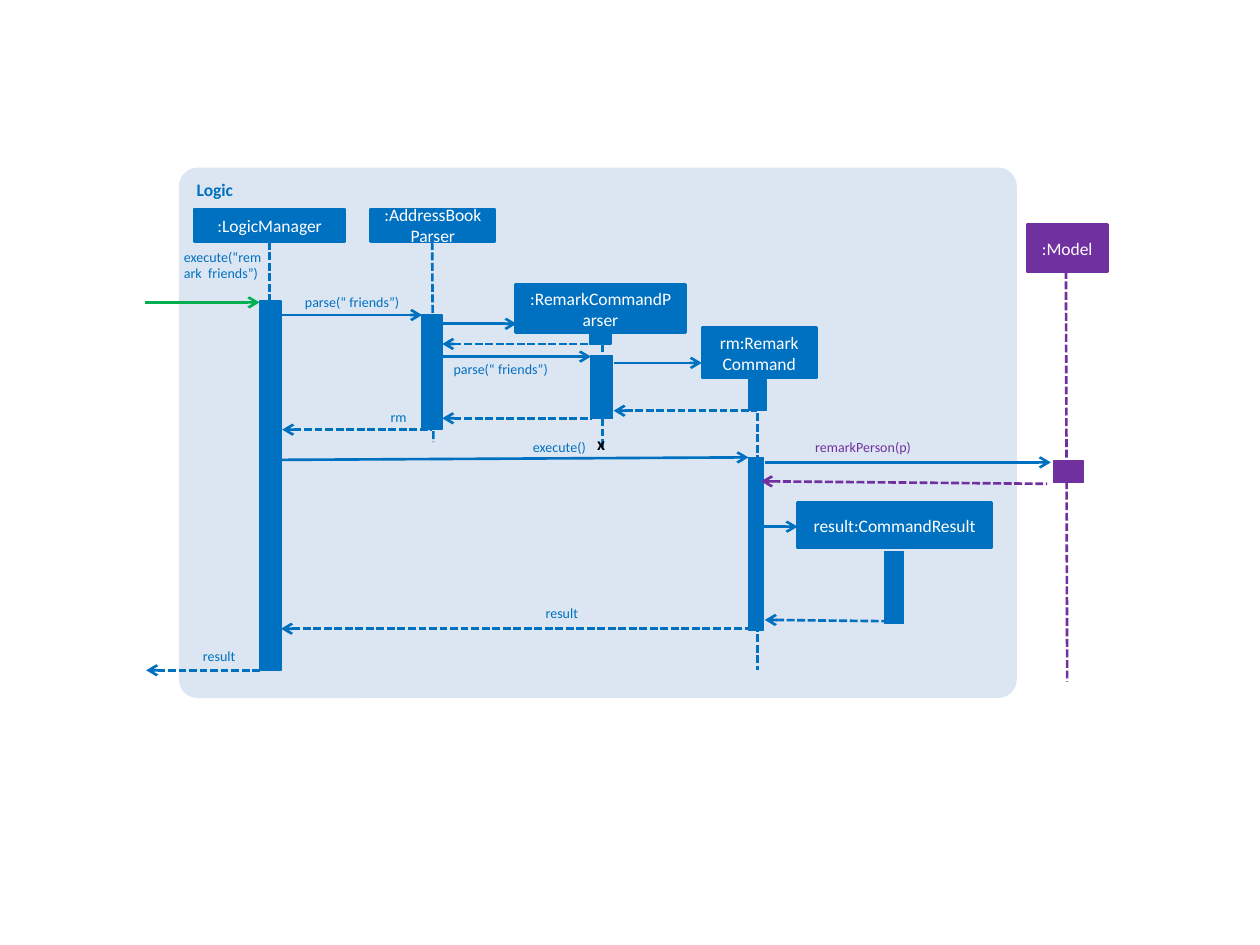
import pptx
import pptx.util
import pptx.dml.color
import pptx.enum.dml
import pptx.enum.shapes
import pptx.enum.text
import pptx.oxml.ns
import lxml.etree

Inches = pptx.util.Inches
Pt = pptx.util.Pt
SHAPE = pptx.enum.shapes.MSO_SHAPE
ANCHOR = pptx.enum.text.MSO_ANCHOR
ALIGN = pptx.enum.text.PP_ALIGN

BLUE, PURPLE, GREEN = "0070C0", "7030A0", "00B050"
PALE, WHITE, BLACK = "DCE6F2", "FFFFFF", "000000"

# text, head box, lifeline and activation bars as offsets from the head, colour
PARTICIPANTS = [
    (":LogicManager", (1.54, 1.66, 1.2, 0.26), (0.6, 0.26, 0.6, 3.41),
     [(0.52, 0.73, 0.17, 2.93)], BLUE),
    (":AddressBookParser", (2.94, 1.66, 0.99, 0.26), (0.49, 0.26, 0.5, 1.85),
     [(0.41, 0.84, 0.16, 0.91)], BLUE),
    (":RemarkCommandParser", (4.09, 2.26, 1.35, 0.38), (0.69, 0.39, 0.69, 1.29),
     [(0.59, 0.38, 0.17, 0.09), (0.6, 0.56, 0.17, 0.5)], BLUE),
    ("rm:Remark Command", (5.57, 2.6, 0.91, 0.4), (0.44, 0.43, 0.44, 2.72),
     [(0.37, 0.41, 0.14, 0.25), (0.37, 1.03, 0.12, 1.37)], BLUE),
    ("result:CommandResult", (6.33, 3.99, 1.54, 0.36), None,
     [(0.69, 0.39, 0.15, 0.57)], BLUE),
    (":Model", (8.15, 1.78, 0.64, 0.38), (0.31, 0.37, 0.32, 3.63),
     [(0.21, 1.88, 0.24, 0.17)], PURPLE),
]

# start and end points, colour
CALLS = [
    ((2.23, 2.5, 3.35, 2.5), BLUE),
    ((3.51, 2.57, 4.1, 2.57), BLUE),
    ((3.46, 2.83, 4.69, 2.83), BLUE),
    ((4.87, 2.88, 5.57, 2.88), BLUE),
    ((2.16, 3.65, 5.94, 3.63), BLUE),
    ((6.07, 3.67, 8.34, 3.67), BLUE),
    ((1.15, 2.4, 2.06, 2.4), GREEN),
    ((5.97, 4.18, 6.33, 4.18), BLUE),
]

# receiver and sender points, colour
REPLIES = [
    ((2.24, 3.41, 3.43, 3.41), BLUE),
    ((3.51, 3.32, 4.7, 3.32), BLUE),
    ((4.87, 3.26, 6.01, 3.26), BLUE),
    ((6.07, 4.92, 7.02, 4.93), BLUE),
    ((2.23, 4.99, 5.94, 4.99), BLUE),
    ((6.04, 3.82, 8.31, 3.84), PURPLE),
    ((3.51, 2.73, 4.7, 2.73), BLUE),
    ((1.16, 5.32, 2.06, 5.32), BLUE),
]

LABELS = [
    ("execute(“remark  friends”)", (1.46, 1.97, 0.63, 0.27), BLUE),
    ("parse(“ friends”)", (2.42, 2.33, 0.78, 0.13), BLUE),
    ("parse(“ friends”)", (3.6, 2.86, 1.04, 0.13), BLUE),
    ("rm", (3.1, 3.24, 0.19, 0.13), BLUE),
    ("execute()", (4.23, 3.48, 0.78, 0.13), BLUE),
    ("result", (4.33, 4.8, 0.78, 0.13), BLUE),
    ("result", (1.61, 5.14, 0.78, 0.13), BLUE),
    ("remarkPerson(p)", (6.47, 3.48, 1.38, 0.13), PURPLE),
]


def rgb(color):
    return pptx.dml.color.RGBColor.from_string(color)


def inches(values):
    return [Inches(v) for v in values]


def set_attributes(obj, values):
    for name, value in values.items():
        setattr(obj, name, value)


def write(sp, text, color, size=10, bold=False, align=ALIGN.LEFT, **frame):
    """Put one line of text in a shape; frame holds text frame attributes."""
    tf = sp.text_frame
    set_attributes(tf, {"word_wrap": True, "vertical_anchor": ANCHOR.TOP, **frame})
    p = tf.paragraphs[0]
    p.alignment = align
    r = p.add_run()
    r.text = text
    set_attributes(r.font, {"name": "Calibri", "size": Pt(size), "bold": bold})
    r.font.color.rgb = rgb(color)


def add_block(s, box, fill, line_width=0, kind=SHAPE.RECTANGLE):
    sp = s.shapes.add_shape(kind, *inches(box))
    sp.shadow.inherit = False
    sp.fill.solid()
    sp.fill.fore_color.rgb = rgb(fill)
    if line_width:
        sp.line.color.rgb = rgb(fill)
        sp.line.width = Pt(line_width)
    else:
        sp.line.fill.background()
    return sp


def add_line(s, points, color, dashed=False, arrow=None):
    """Draw a line; arrow is None, "headEnd" (at start) or "tailEnd" (at end)."""
    qn = pptx.oxml.ns.qn
    line = s.shapes.add_connector(
        pptx.enum.shapes.MSO_CONNECTOR.STRAIGHT, *inches(points))
    line.line.color.rgb = rgb(color)
    line.line.width = Pt(1.5)
    if dashed:
        line.line.dash_style = pptx.enum.dml.MSO_LINE.SQUARE_DOT
    if arrow:
        ln = line.line._get_or_add_ln()
        lxml.etree.SubElement(ln, qn("a:" + arrow), type="arrow")
    lxml.etree.SubElement(line._element.spPr, qn("a:effectLst"))


def add_label(s, text, box, color):
    sp = s.shapes.add_textbox(*inches(box))
    write(sp, text, color, size=8, margin_left=0, margin_top=0,
          margin_right=0, margin_bottom=0)


def add_logic_frame(s, box):
    sp = add_block(s, box, PALE, kind=SHAPE.ROUNDED_RECTANGLE)
    sp.adjustments[0] = 0.035
    write(sp, "Logic", BLUE, bold=True)


def add_participant(s, text, box, lifeline, bars, color):
    """Draw a head with its lifeline and bars, both offset from the head."""
    left, top = box[:2]
    head = add_block(s, box, color, 1.5)
    write(head, text, WHITE, align=ALIGN.CENTER, vertical_anchor=ANCHOR.MIDDLE)
    if lifeline:
        x1, y1, x2, y2 = lifeline
        add_line(s, (left + x1, top + y1, left + x2, top + y2), color, dashed=True)
    for dx, dy, width, height in bars:
        add_block(s, (left + dx, top + dy, width, height), color, 0.75)


def add_destruction_mark(s, box):
    write(s.shapes.add_textbox(*inches(box)), "x", BLACK, bold=True)


def main():
    prs = pptx.Presentation()
    prs.slide_width, prs.slide_height = Inches(10), Inches(7.5)
    s = prs.slides.add_slide(prs.slide_layouts[6])
    add_logic_frame(s, (1.42, 1.33, 6.65, 4.21))
    for participant in PARTICIPANTS:
        add_participant(s, *participant)
    for points, color in CALLS:
        add_line(s, points, color, arrow="tailEnd")
    for points, color in REPLIES:
        add_line(s, points, color, dashed=True, arrow="headEnd")
    for label in LABELS:
        add_label(s, *label)
    add_destruction_mark(s, (4.64, 3.39, 0.2, 0.27))
    prs.save("out.pptx")


if __name__ == "__main__":
    main()
